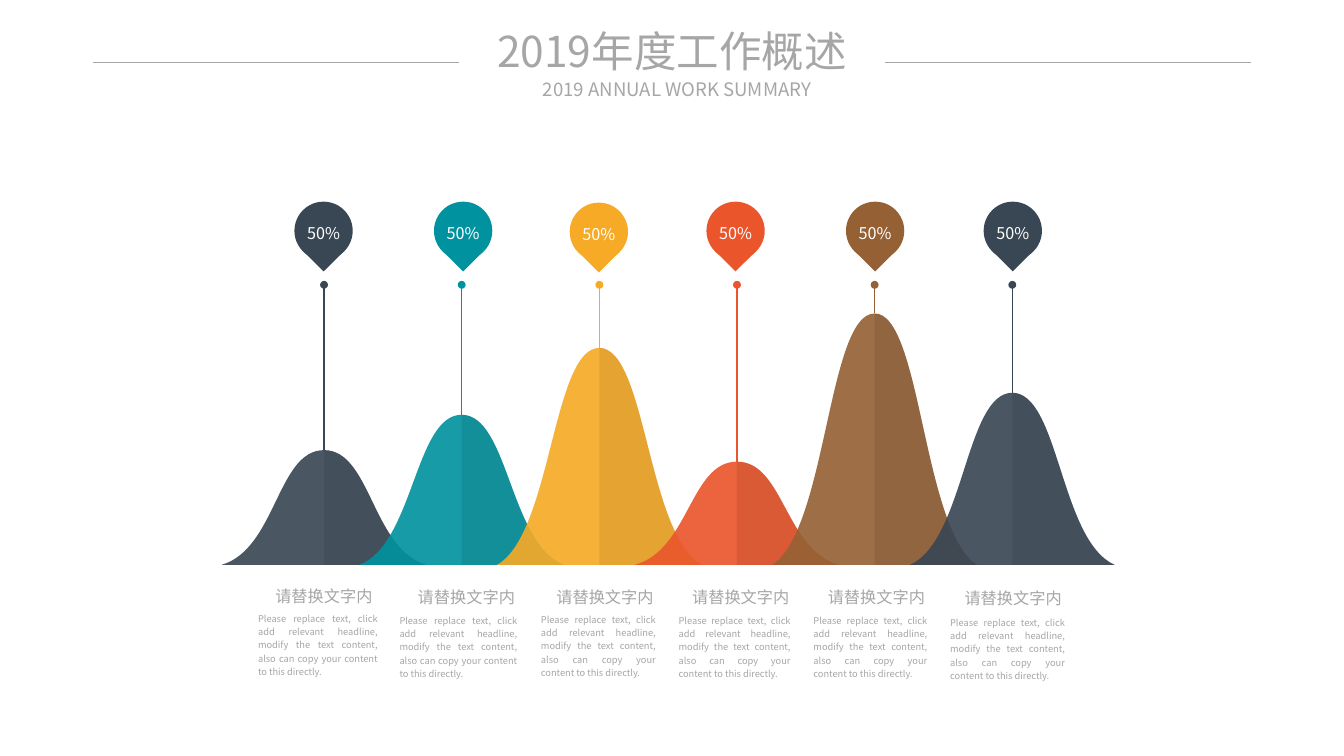
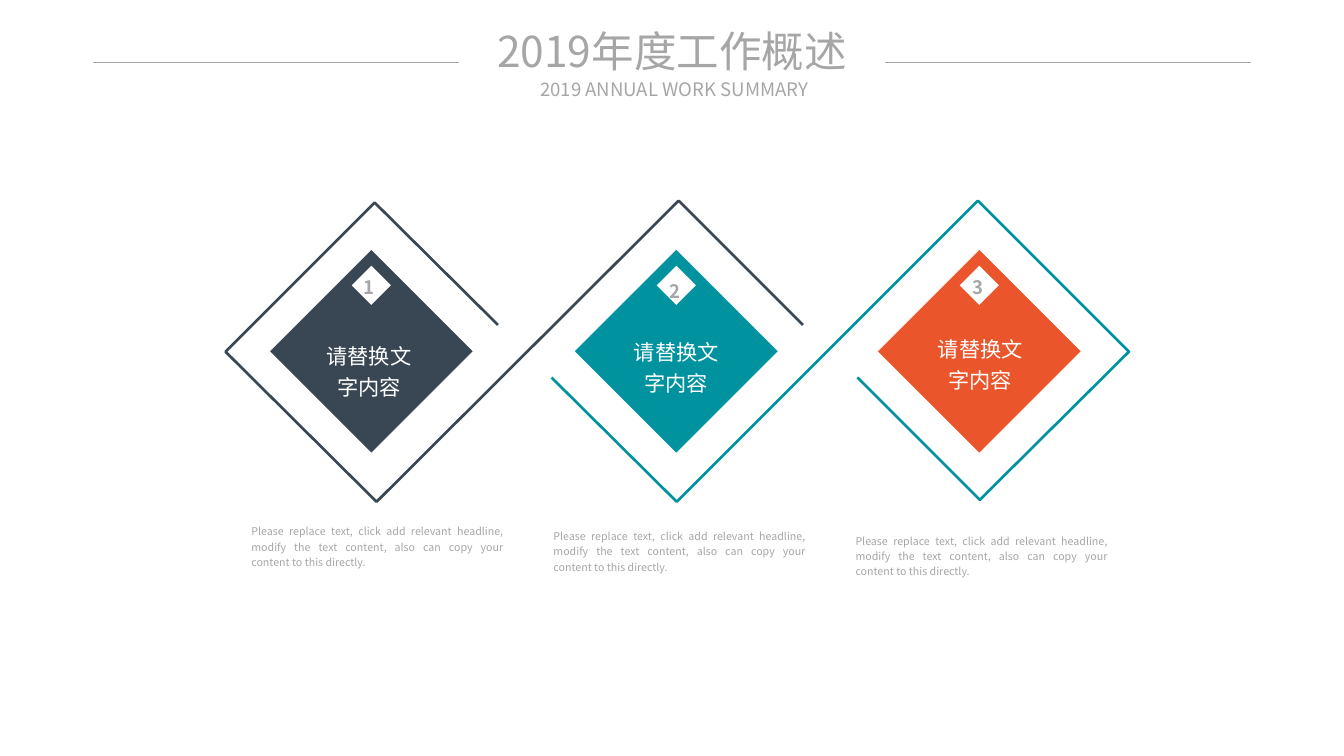
from lxml import etree
from pptx import Presentation
from pptx.dml.color import RGBColor
from pptx.enum.shapes import MSO_CONNECTOR, MSO_SHAPE
from pptx.enum.text import MSO_ANCHOR, MSO_AUTO_SIZE, PP_ALIGN
from pptx.oxml.ns import qn
from pptx.util import Inches, Pt

FONT = "Noto Sans CJK SC"
GREY, WHITE = "A6A6A6", "FFFFFF"
NAVY, TEAL, AMBER, RED, BROWN = "394754", "00939F", "F6AA26", "EA552B", "956134"
SHADE = {NAVY: "1D242A", TEAL: "004950", AMBER: "885906", RED: "7E250C", BROWN: "4A301A"}

TITLE = "2019年度工作概述"
SUBTITLE = "2019 ANNUAL WORK SUMMARY"
BODY = ("Please replace text, click add relevant headline, modify the text "
        "content, also can copy your content to this directly.")

# colour, peak y, pin (left, top), heading (left, top), body (left, top, width)
HILLS = [
    (NAVY, 4.71, (3.08, 2.11), (2.88, 6.09), (2.70, 6.39, 1.25)),
    (TEAL, 4.34, (4.54, 2.11), (4.37, 6.10), (4.18, 6.41, 1.23)),
    (AMBER, 3.64, (5.96, 2.12), (5.82, 6.10), (5.66, 6.40, 1.20)),
    (RED, 4.83, (7.39, 2.11), (7.24, 6.11), (7.10, 6.41, 1.17)),
    (BROWN, 3.28, (8.85, 2.11), (8.66, 6.11), (8.51, 6.41, 1.19)),
    (NAVY, 4.11, (10.29, 2.11), (10.09, 6.12), (9.94, 6.43, 1.20)),
]
HILL_HEADING, HILL_VALUE = "请替换文字内", "50%"
FIRST_PEAK_X, HILL_STEP, HILL_HALF, BASE_Y = 3.39, 1.44, 1.07, 5.91
STEM_TOP, PIN_SIZE = 2.98, 0.61

# colour, diamond left, number (left, top, anchor), label (left, top, width)
STEPS = [
    (NAVY, 3.13, (3.80, 2.85, MSO_ANCHOR.MIDDLE), (3.37, 3.54, 0.98)),
    (TEAL, 6.32, (7.00, 2.88, MSO_ANCHOR.TOP), (6.58, 3.50, 0.99)),
    (RED, 9.49, (10.17, 2.85, MSO_ANCHOR.MIDDLE), (9.76, 3.47, 0.99)),
]
STEP_LABEL = "请替换文字内容"
RIBBONS = [
    (NAVY, [(8.4, 3.4), (7.1, 2.1), (3.94, 5.25), (2.36, 3.68), (3.92, 2.12), (5.21, 3.4)]),
    (TEAL, [(5.77, 3.95), (7.08, 5.25), (10.23, 2.1), (11.81, 3.68), (10.25, 5.23), (8.97, 3.95)]),
]


def rgb(colour):
    return RGBColor.from_string(colour)


def paint(shape, fill=None, line=None, width=0.5, opacity=None):
    shape.shadow.inherit = False
    if fill:
        shape.fill.solid()
        shape.fill.fore_color.rgb = rgb(fill)
        if opacity:
            colour = shape.fill._xPr.find(".//" + qn("a:srgbClr"))
            etree.SubElement(colour, qn("a:alpha"), val=str(opacity * 1000))
    else:
        shape.fill.background()
    if line:
        shape.line.color.rgb = rgb(line)
        shape.line.width = Pt(width)
    else:
        shape.line.fill.background()
    return shape


def write(shape, text, size, colour=GREY, align=PP_ALIGN.JUSTIFY, anchor=MSO_ANCHOR.TOP,
          spacing=1.2, bold=False, wrap=True):
    frame = shape.text_frame
    frame.margin_left = frame.margin_right = frame.margin_top = frame.margin_bottom = 0
    frame.word_wrap = wrap
    frame.vertical_anchor = anchor
    paragraph = frame.paragraphs[0]
    paragraph.alignment = align
    paragraph.line_spacing = spacing
    run = paragraph.add_run()
    run.text = text
    run.font.name, run.font.size, run.font.bold = FONT, Pt(size), bold
    run.font.color.rgb = rgb(colour)
    etree.SubElement(run.font._element, qn("a:ea"), typeface=FONT)


def add_text(slide, text, left, top, width, height, size, **style):
    box = slide.shapes.add_textbox(Inches(left), Inches(top), Inches(width), Inches(height))
    write(box, text, size, **style)
    box.text_frame.auto_size = MSO_AUTO_SIZE.SHAPE_TO_FIT_TEXT


def add_preset(slide, preset, left, top, size, **style):
    shape = slide.shapes.add_shape(preset, Inches(left), Inches(top), Inches(size), Inches(size))
    return paint(shape, **style)


def add_diamond(slide, left, top, side, **style):
    add_preset(slide, MSO_SHAPE.RECTANGLE, left, top, side, **style).rotation = 315


def add_outline(slide, points, close=True, curves=None, **style):
    """Draw an outline; curves maps a segment's index to its two Bezier controls."""
    start, *rest = [(Inches(x), Inches(y)) for x, y in points]
    builder = slide.shapes.build_freeform(*start, scale=1.0)
    builder.add_line_segments(rest, close=close)
    shape = paint(builder.convert_to_shape(), **style)
    segments = shape._element.findall(".//" + qn("a:lnTo"))
    for index, controls in (curves or {}).items():
        segment = segments[index]
        segment.tag = qn("a:cubicBezTo")
        for place, (x, y) in enumerate(controls):
            point = etree.Element(qn("a:pt"), x=str(Inches(x) - shape.left),
                                  y=str(Inches(y) - shape.top))
            segment.insert(place, point)


def add_line(slide, start, end, colour, width, dot=False):
    line = slide.shapes.add_connector(MSO_CONNECTOR.STRAIGHT, *map(Inches, start + end))
    line.line.color.rgb = rgb(colour)
    line.line.width = Pt(width)
    properties = line._element.spPr
    if dot:
        etree.SubElement(properties.find(qn("a:ln")), qn("a:headEnd"), type="oval")
    etree.SubElement(properties, qn("a:effectLst"))


def add_hill(slide, x, peak, colour):
    shoulder = peak + 0.86 * (BASE_Y - peak)
    top, middle = (x, peak), (x, BASE_Y)
    left, right = (x - HILL_HALF, BASE_Y), (x + HILL_HALF, BASE_Y)
    fall = [(x - 0.49, peak), (x - 0.5, shoulder)]
    rise = [(x + 0.5, shoulder), (x + 0.49, peak)]
    add_outline(slide, [top, left, middle, right, top], curves={0: fall, 3: rise},
                fill=colour, opacity=91)
    add_outline(slide, [right, top, middle], curves={0: rise}, fill=SHADE[colour], opacity=15)


def add_titled_slide(prs, subtitle_width):
    slide = prs.slides.add_slide(prs.slide_layouts[6])
    centred = dict(align=PP_ALIGN.CENTER, anchor=MSO_ANCHOR.MIDDLE, spacing=1.0)
    add_text(slide, TITLE, 4.87, 0.26, 4.32, 0.54, 32, **centred)
    add_text(slide, SUBTITLE, 5.5, 0.81, subtitle_width, 0.24, 14, **centred)
    for left in (0.97, 9.26):
        add_line(slide, (left, 0.65), (left + 3.83, 0.65), GREY, 0.5)
    return slide


def add_pin(slide, left, top, colour):
    disc = add_preset(slide, MSO_SHAPE.OVAL, left, top, PIN_SIZE, fill=colour)
    write(disc, HILL_VALUE, 12.2, colour=WHITE, align=PP_ALIGN.CENTER, anchor=MSO_ANCHOR.MIDDLE)
    middle, neck = left + PIN_SIZE / 2, top + 0.52
    add_outline(slide, [(middle + 0.21, neck), (middle, neck + 0.21), (middle - 0.21, neck)],
                fill=colour)


def build_hills(prs):
    slide = add_titled_slide(prs, 3.17)
    peaks = [FIRST_PEAK_X + HILL_STEP * i for i in range(len(HILLS))]
    for x, (colour, peak, *_) in zip(peaks, HILLS):
        add_hill(slide, x, peak, colour)
    for x, (colour, peak, pin, heading, body) in zip(peaks, HILLS):
        add_pin(slide, *pin, colour)
        add_line(slide, (x, STEM_TOP), (x, peak), colour, 1, dot=True)
        add_text(slide, HILL_HEADING, *heading, 1.02, 0.23, 12.2, wrap=False)
        add_text(slide, BODY, *body, 0.69, 7)


def build_steps(prs):
    slide = add_titled_slide(prs, 3.11)
    for colour, corners in RIBBONS:
        add_outline(slide, corners, close=False, line=colour, width=2)
    for i, (colour, left, (number_x, number_y, anchor), label) in enumerate(STEPS):
        add_diamond(slide, left, 2.92, 1.51, fill=colour, line=WHITE)
        add_diamond(slide, left + 0.61, 2.84, 0.29, fill=WHITE)
        add_text(slide, str(i + 1), number_x, number_y, 0.12, 0.26, 14, bold=True,
                 align=PP_ALIGN.CENTER, anchor=anchor, wrap=False)
        add_text(slide, STEP_LABEL, *label, 0.62, 16, colour=WHITE, align=PP_ALIGN.CENTER)
        add_text(slide, BODY, 2.63 + 3.16 * i, 5.47 + 0.05 * i, 2.64, 0.47, 8)


def main():
    prs = Presentation()
    prs.slide_width, prs.slide_height = Inches(14.06), Inches(7.91)
    build_hills(prs)
    build_steps(prs)
    prs.save("out.pptx")


if __name__ == "__main__":
    main()
